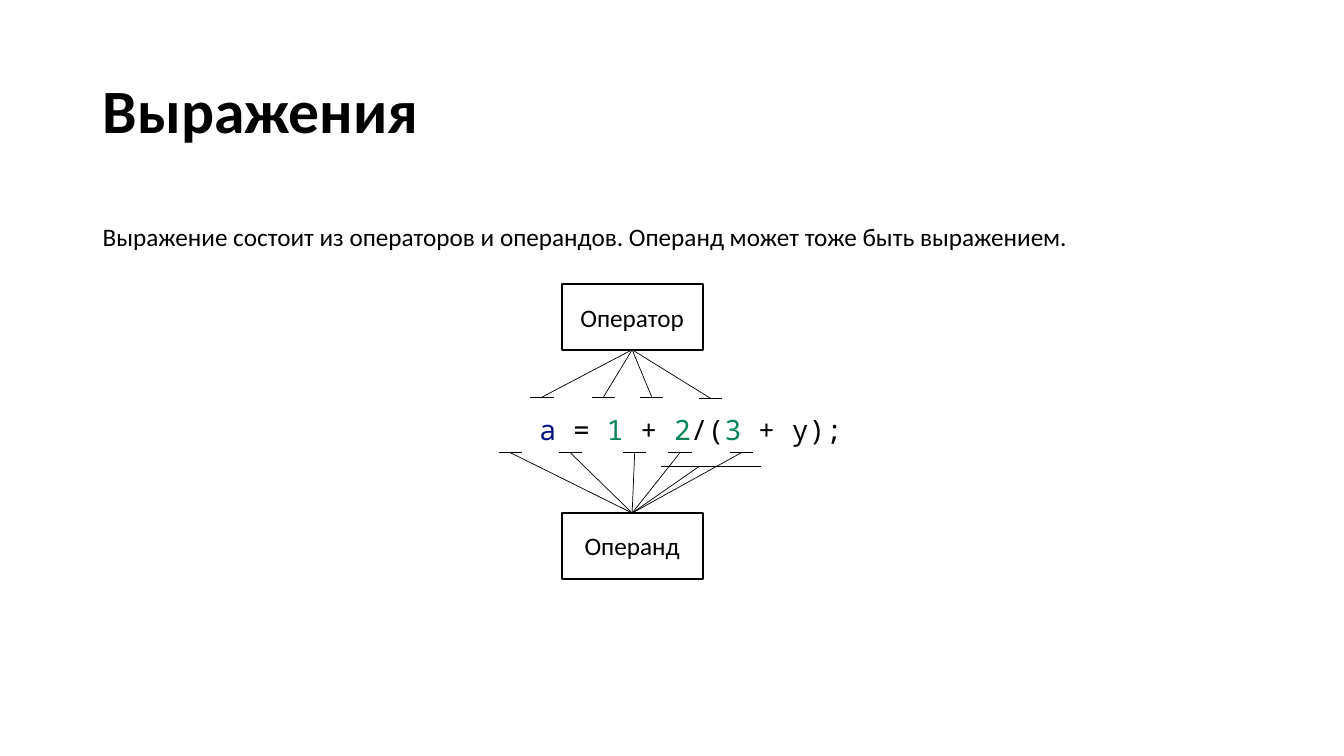
from dataclasses import dataclass
from pptx import Presentation
from pptx.dml.color import RGBColor
from pptx.enum.shapes import MSO_CONNECTOR, MSO_SHAPE
from pptx.enum.text import MSO_ANCHOR, PP_ALIGN
from pptx.oxml.ns import qn
from pptx.util import Inches, Pt
from lxml import etree

RECT = MSO_SHAPE.RECTANGLE
LINE = MSO_CONNECTOR.STRAIGHT
TOP, MIDDLE = MSO_ANCHOR.TOP, MSO_ANCHOR.MIDDLE
LEFT, CENTER = PP_ALIGN.LEFT, PP_ALIGN.CENTER
UP, DOWN = 0, 2


@dataclass(frozen=True)
class Theme:
    ink: str = "000000"
    paper: str = "FFFFFF"
    name: str = "001080"
    number: str = "098658"
    font: str = "Calibri"
    mono: str = "Noto Sans Mono"
    head: int = 44
    body: int = 18
    code: int = 20
    frame: float = 1.5
    thin: float = 0.5


THEME = Theme()
CELL = Inches(0.1)
TICK = 2.3


def cells(*sizes):
    return [round(size * CELL) for size in sizes]


def write(shape, runs, size=THEME.body, font=THEME.font, bold=False,
          align=LEFT, anchor=MIDDLE, spacing=1, before=0, inset=1):
    frame = shape.text_frame
    frame.word_wrap = True
    frame.vertical_anchor = anchor
    frame.margin_left = frame.margin_right = round(inset * CELL)
    para = frame.paragraphs[0]
    para.alignment = align
    para.line_spacing = spacing
    para.space_before = Pt(before)
    for text, color in runs:
        run = para.add_run()
        run.text = text
        run.font.name = font
        run.font.size = Pt(size)
        run.font.bold = bold
        run.font.color.rgb = RGBColor.from_string(color)


def label(slide, box, runs, **style):
    write(slide.shapes.add_textbox(*cells(*box)), runs, **style)


def node(slide, box, text):
    shape = slide.shapes.add_shape(RECT, *cells(*box))
    shape.shadow.inherit = False
    shape.fill.solid()
    shape.fill.fore_color.rgb = RGBColor.from_string(THEME.paper)
    shape.line.color.rgb = RGBColor.from_string(THEME.ink)
    shape.line.width = Pt(THEME.frame)
    write(shape, [(text, THEME.ink)], align=CENTER)
    return shape


def line(slide, start, end):
    link = slide.shapes.add_connector(LINE, *cells(*start, *end))
    link.line.color.rgb = RGBColor.from_string(THEME.ink)
    link.line.width = Pt(THEME.thin)
    etree.SubElement(link._element.spPr, qn("a:effectLst"))
    return link


def fan(slide, box, text, side, ticks):
    left, top, width, height = box
    shape = node(slide, box, text)
    hub = (left + width / 2, top + (height if side == DOWN else 0))
    for mid, level, size, joint in ticks:
        line(slide, (mid - size / 2, level), (mid + size / 2, level))
        line(slide, hub, (joint, level)).begin_connect(shape, side)


def code(slide, box):
    ink, name, number = THEME.ink, THEME.name, THEME.number
    runs = [("a", name), (" = ", ink), ("1", number), (" + ", ink),
            ("2", number), ("/(", ink), ("3", number), (" + y);", ink)]
    label(slide, box, runs, size=THEME.code, font=THEME.mono, inset=0)


def diagram(slide, box):
    left, top, width, height = box
    wide, high = 14, 6.5
    side = left + (width - wide) / 2
    above = [(left + x, top + y, TICK, left + x) for x, y in
             ((11.05, 11.2), (17.15, 11.2), (21.95, 11.2), (27.75, 11.3))]
    below = [(left + x, top + 16.7, TICK, left + x)
             for x in (7.9, 13.85, 20.25, 24.75, 30.85)]
    below.append((left + 27.85, top + 18.1, 9.9, left + 26.6))
    code(slide, (left + 10.8, top + 11.9, width, 5))
    fan(slide, (side, top, wide, high), "Оператор", DOWN, above)
    fan(slide, (side, top + height - high, wide, high), "Операнд", UP, below)


def header(slide, box):
    label(slide, box, [("Выражения", THEME.ink)],
          size=THEME.head, bold=True, spacing=0.9)


def intro(slide, box):
    text = ("Выражение состоит из операторов и операндов. "
            "Операнд может тоже быть выражением.")
    label(slide, box, [(text, THEME.ink)], anchor=TOP, spacing=1.5, before=10)


def main():
    deck = Presentation()
    deck.slide_width, deck.slide_height = Inches(13.33), Inches(7.5)
    slide = deck.slides.add_slide(deck.slide_layouts[6])
    header(slide, (9.2, 4, 115, 14.5))
    intro(slide, (9.2, 20, 115, 6))
    diagram(slide, (42.7, 28.2, 40, 29.2))
    deck.save("out.pptx")


if __name__ == "__main__":
    main()
